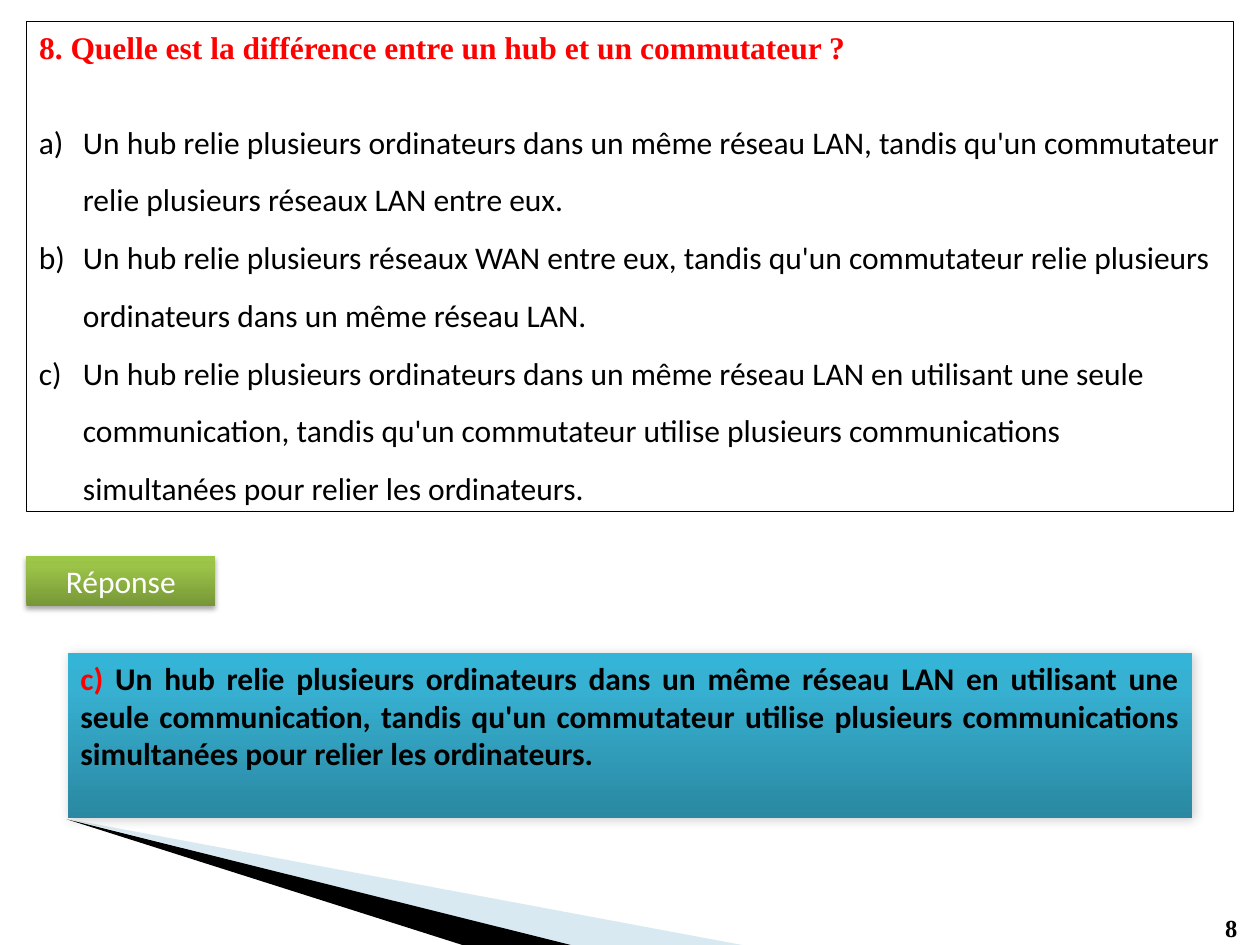
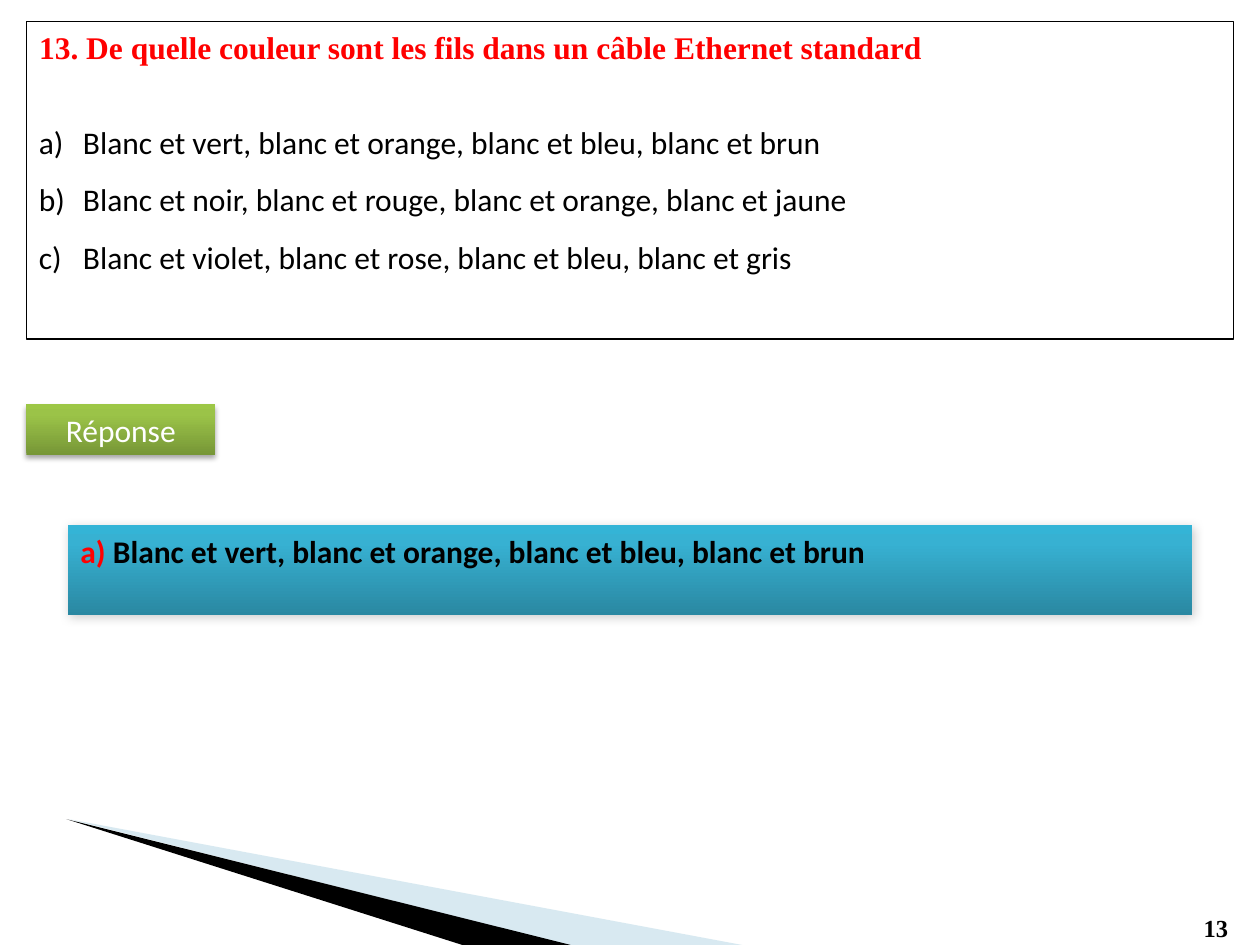
from pptx import Presentation
from pptx.dml.color import RGBColor
from pptx.enum.shapes import MSO_SHAPE
from pptx.enum.text import MSO_ANCHOR, MSO_AUTO_SIZE, PP_ALIGN
from pptx.oxml import parse_xml
from pptx.oxml.ns import nsdecls, qn
from pptx.util import Emu, Inches, Pt
from lxml.etree import SubElement

# Shared look
color = RGBColor.from_string
SERIF, SANS = "Times New Roman", "Calibri"
BLACK, RED, WHITE, PALE_BLUE = "000000", "FF0000", "FFFFFF", "9FCADC"
# Gradient stops from bottom to top, then shadow: opacity %, blur, distance, angle
GREEN = (("779737", "9BC348", "9DC746"), (35, 3.1, 1.8, 90))
BLUE = (("2A88A2", "37B1D2", "34B4D6"), (20, 6, 1, 45))

presentation = Presentation()
presentation.slide_width, presentation.slide_height = Inches(10), Inches(7.5)
# The grid has 100 columns and 100 rows
column = presentation.slide_width / 100
row = presentation.slide_height / 100
layout = presentation.slide_layouts[5]

MARGIN, BOX_TOP, BOX_WIDTH = 2.1, 2.27, 95.8
ANSWER_LEFT, ANSWER_WIDTH = 5.4, 89.2
NUMBER_RIGHT = 99.85

questions = [
    dict(
        number=8,
        text="Quelle est la différence entre un hub et un commutateur ?",
        choices=[
            "Un hub relie plusieurs ordinateurs dans un même réseau LAN, tandis qu'un commutateur relie plusieurs réseaux LAN entre eux.",
            "Un hub relie plusieurs réseaux WAN entre eux, tandis qu'un commutateur relie plusieurs ordinateurs dans un même réseau LAN.",
            "Un hub relie plusieurs ordinateurs dans un même réseau LAN en utilisant une seule communication, tandis qu'un commutateur utilise plusieurs communications simultanées pour relier les ordinateurs.",
        ],
        correct="c", box_height=51.87, label_top=58.8, answer_top=69.07, answer_height=17.47,
    ),
    dict(
        number=13,
        text="De quelle couleur sont les fils dans un câble Ethernet standard",
        choices=[
            "Blanc et vert, blanc et orange, blanc et bleu, blanc et brun",
            "Blanc et noir, blanc et rouge, blanc et orange, blanc et jaune",
            "Blanc et violet, blanc et rose, blanc et bleu, blanc et gris",
        ],
        correct="a", box_height=33.6, label_top=42.8, answer_top=55.6, answer_height=9.47,
    ),
]


def add_run(paragraph, text, text_color, font=SANS, bold=False, size=18):
    run = paragraph.add_run()
    run.text = text
    run.font.name, run.font.size, run.font.bold = font, Pt(size), bold
    run.font.color.rgb = color(text_color)


def add_box(slide, left, top, width, height, style=None):
    """Add a rectangle: outlined, or with a gradient and a soft shadow."""
    shape = slide.shapes.add_shape(
        MSO_SHAPE.RECTANGLE, Emu(int(left * column)), Emu(int(top * row)),
        Emu(int(width * column)), Emu(int(height * row)))
    shape.text_frame.word_wrap = True
    shape.text_frame.vertical_anchor = MSO_ANCHOR.TOP
    if style is None:
        shape.shadow.inherit = False
        shape.fill.background()
        shape.line.color.rgb = color(BLACK)
        shape.line.width = Pt(0.75)
        return shape
    stops, (opacity, blur, distance, angle) = style
    stop_xml = "".join(
        f'<a:gs pos="{position * 1000}"><a:srgbClr val="{stop}"/></a:gs>'
        for position, stop in zip((0, 80, 100), stops))
    properties = shape.element.spPr
    properties.append(parse_xml(
        f'<a:gradFill {nsdecls("a")} rotWithShape="1"><a:gsLst>{stop_xml}</a:gsLst>'
        '<a:lin ang="16200000" scaled="0"/></a:gradFill>'))
    shape.line.fill.background()
    properties.append(parse_xml(
        f'<a:effectLst {nsdecls("a")}><a:outerShdw blurRad="{Pt(blur)}" dist="{Pt(distance)}" '
        f'dir="{angle * 60000}" rotWithShape="0"><a:srgbClr val="{BLACK}">'
        f'<a:alpha val="{opacity * 1000}"/></a:srgbClr></a:outerShdw></a:effectLst>'))
    return shape


for index, question in enumerate(questions):
    slide = presentation.slides.add_slide(layout)

    # Corner wedges, drawn once and moved to the layout
    if index == 0:
        for points, wedge_color in (
            (((5.5, 86.7), (45.1, 100), (58.9, 100)), PALE_BLUE),
            (((5.3, 86.7), (36.7, 100), (45.3, 100)), BLACK),
        ):
            corners = [(int(x * column), int(y * row)) for x, y in points]
            builder = slide.shapes.build_freeform(*corners[0])
            builder.add_line_segments(corners[1:], close=True)
            wedge = builder.convert_to_shape()
            wedge.shadow.inherit = False
            wedge.fill.solid()
            wedge.fill.fore_color.rgb = color(wedge_color)
            wedge.line.fill.background()
            if wedge_color == PALE_BLUE:
                fill_color = wedge.element.spPr.find(qn("a:solidFill"))[0]
                SubElement(fill_color, qn("a:alpha")).set("val", "40000")
            layout.shapes.element.append(wedge.element)

    # Question as the title
    title = slide.shapes.title
    title.left, title.top = Emu(int(MARGIN * column)), Emu(int(BOX_TOP * row))
    title.width, title.height = Emu(int(BOX_WIDTH * column)), Emu(int(5 * row))
    title.text_frame.auto_size = MSO_AUTO_SIZE.NONE
    title.text_frame.vertical_anchor = MSO_ANCHOR.TOP
    paragraph = title.text_frame.paragraphs[0]
    paragraph.alignment = PP_ALIGN.LEFT
    add_run(paragraph, f"{question['number']}. {question['text']}", RED, SERIF, True)

    # Lettered choices in the outlined box
    box = add_box(slide, MARGIN, BOX_TOP, BOX_WIDTH, question["box_height"])
    box.text_frame.margin_top = Emu(int(8.6 * row))
    for position, choice in enumerate(question["choices"]):
        paragraph = box.text_frame.paragraphs[0] if position == 0 else box.text_frame.add_paragraph()
        properties = paragraph._p.get_or_add_pPr()
        properties.set("marL", str(Inches(0.35)))
        properties.set("indent", str(-Inches(0.35)))
        SubElement(properties, qn("a:buFont")).set("typeface", "+mj-lt")
        SubElement(properties, qn("a:buAutoNum")).set("type", "alphaLcParenR")
        paragraph.alignment = PP_ALIGN.LEFT
        paragraph.line_spacing = Pt(33)
        add_run(paragraph, choice, BLACK)

    # Answer label
    label = add_box(slide, MARGIN, question["label_top"], 15, 5.33, GREEN)
    paragraph = label.text_frame.paragraphs[0]
    paragraph.alignment = PP_ALIGN.CENTER
    add_run(paragraph, "Réponse", WHITE)

    # Correct answer
    answer = add_box(slide, ANSWER_LEFT, question["answer_top"], ANSWER_WIDTH,
                     question["answer_height"], BLUE)
    paragraph = answer.text_frame.paragraphs[0]
    paragraph.alignment = PP_ALIGN.JUSTIFY
    letter = question["correct"]
    add_run(paragraph, f"{letter}) ", RED, bold=True)
    add_run(paragraph, question["choices"]["abc".index(letter)], BLACK, bold=True)

    # Question number in the corner
    digits = str(question["number"])
    width = 1.9 + 1.7 * len(digits)
    number = slide.shapes.add_textbox(
        Emu(int((NUMBER_RIGHT - width) * column)), Emu(int(96 * row)),
        Emu(int(width * column)), Emu(int(4.5 * row)))
    number.text_frame.word_wrap = False
    add_run(number.text_frame.paragraphs[0], digits, BLACK, SERIF, True, 14)

presentation.save("out.pptx")
